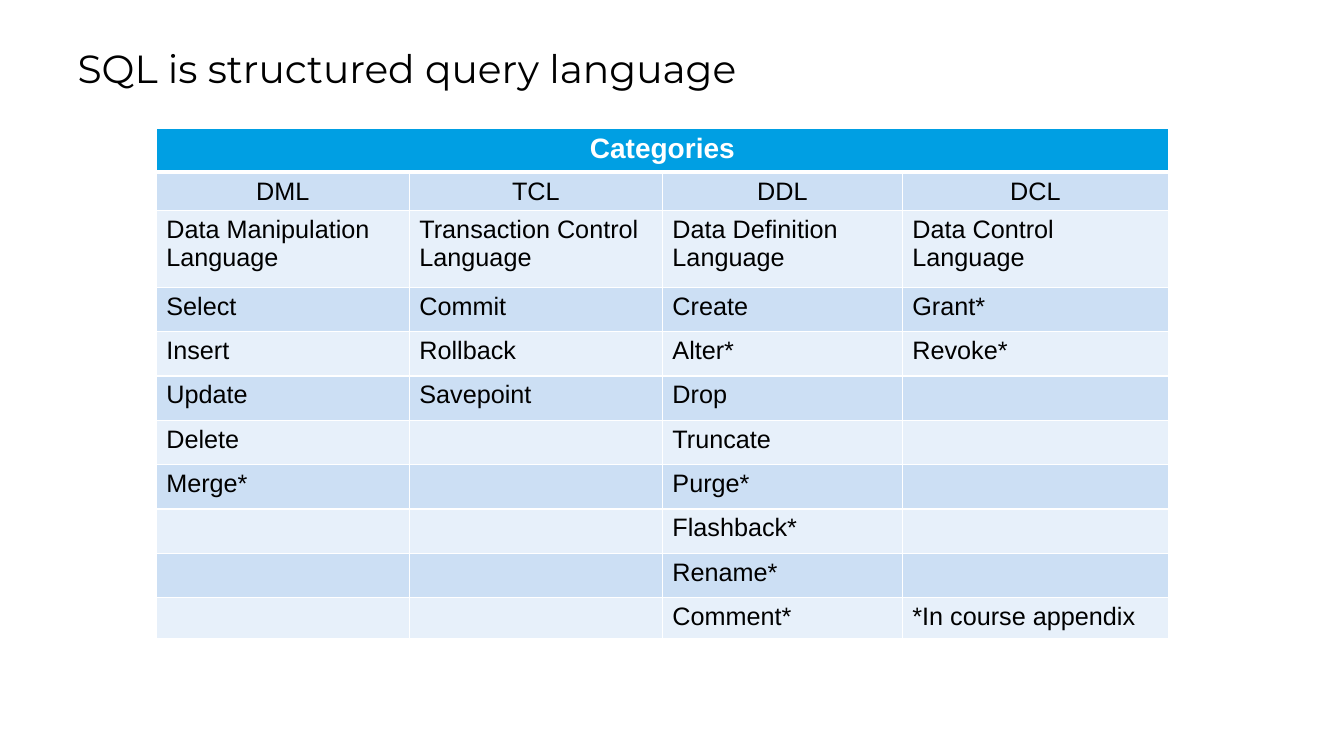
from dataclasses import dataclass
from itertools import zip_longest

from lxml import etree
from pptx import Presentation
from pptx.dml.color import RGBColor
from pptx.enum.text import MSO_ANCHOR, PP_ALIGN
from pptx.oxml.ns import qn
from pptx.util import Inches, Pt

WHITE = RGBColor(0xFF, 0xFF, 0xFF)
BLACK = RGBColor(0, 0, 0)
HEADER_BLUE = RGBColor(0x00, 0x9F, 0xE3)
BANDS = (RGBColor(0xE7, 0xF0, 0xFA), RGBColor(0xCC, 0xDF, 0xF4))


@dataclass(frozen=True)
class Category:
    code: str
    name: str
    width: float
    commands: tuple[str, ...]


@dataclass(frozen=True)
class CellStyle:
    fill: RGBColor
    color: RGBColor = BLACK
    size: int = 18
    bold: bool = False
    align: PP_ALIGN = PP_ALIGN.LEFT
    bottom_border: float = 1


CATEGORIES = (
    Category("DML", "Data Manipulation Language", 2.51,
             ("Select", "Insert", "Update", "Delete", "Merge*")),
    Category("TCL", "Transaction Control Language", 2.51,
             ("Commit", "Rollback", "Savepoint")),
    Category("DDL", "Data Definition Language", 2.38,
             ("Create", "Alter*", "Drop", "Truncate", "Purge*",
              "Flashback*", "Rename*", "Comment*")),
    Category("DCL", "Data Control Language", 2.64, ("Grant*", "Revoke*")),
)
FOOTNOTE = "*In course appendix"
HEADER_STYLE = CellStyle(HEADER_BLUE, WHITE, 20, True, PP_ALIGN.CENTER, 3)


def set_borders(cell, bottom: float) -> None:
    """Draw white borders, which must precede the fill in the cell properties."""
    properties = cell._tc.get_or_add_tcPr()
    widths = {"a:lnL": 1, "a:lnR": 1, "a:lnT": 1, "a:lnB": bottom}
    for position, (tag, width) in enumerate(widths.items()):
        line = etree.Element(qn(tag), w=str(Pt(width)))
        fill = etree.SubElement(line, qn("a:solidFill"))
        etree.SubElement(fill, qn("a:srgbClr"), val=str(WHITE))
        properties.insert(position, line)


def fill_cell(cell, text: str, style: CellStyle) -> None:
    cell.fill.solid()
    cell.fill.fore_color.rgb = style.fill
    set_borders(cell, style.bottom_border)
    paragraph = cell.text_frame.paragraphs[0]
    paragraph.alignment = style.align
    if text:
        run = paragraph.add_run()
        run.text = text
        run.font.name = "Arial"
        run.font.size = Pt(style.size)
        run.font.bold = style.bold
        run.font.color.rgb = style.color


def add_title(slide, text: str) -> None:
    title = slide.shapes.title
    title.left, title.top = Inches(0.67), Inches(0.39)
    title.width, title.height = Inches(12.02), Inches(0.57)
    frame = title.text_frame
    frame.text = text
    frame.word_wrap = True
    frame.vertical_anchor = MSO_ANCHOR.MIDDLE
    paragraph = frame.paragraphs[0]
    paragraph.alignment = PP_ALIGN.LEFT
    font = paragraph.runs[0].font
    font.name, font.size, font.color.rgb = "Montserrat", Pt(28), BLACK


def add_categories_table(slide) -> None:
    # Category columns become rows, padded with empty cells
    command_rows = [list(row) for row in
                    zip_longest(*(c.commands for c in CATEGORIES), fillvalue="")]
    command_rows[-1][-1] = FOOTNOTE
    rows = [[c.code for c in CATEGORIES], [c.name for c in CATEGORIES], *command_rows]
    heights = [0.44, 0.38, 0.76] + [0.44] * (len(command_rows) - 1) + [0.38]

    table = slide.shapes.add_table(
        len(heights), len(CATEGORIES), Inches(1.55), Inches(1.27),
        Inches(sum(c.width for c in CATEGORIES)), Inches(sum(heights))).table
    for column, category in zip(table.columns, CATEGORIES):
        column.width = Inches(category.width)
    for row, height in zip(table.rows, heights):
        row.height = Inches(height)

    # Header across all columns
    for index in range(len(CATEGORIES)):
        fill_cell(table.cell(0, index), "" if index else "Categories", HEADER_STYLE)
    table.cell(0, 0).merge(table.cell(0, len(CATEGORIES) - 1))

    # Banded body with centred category codes
    for row_index, texts in enumerate(rows, start=1):
        align = PP_ALIGN.CENTER if row_index == 1 else PP_ALIGN.LEFT
        style = CellStyle(BANDS[row_index % 2], align=align)
        for column_index, text in enumerate(texts):
            fill_cell(table.cell(row_index, column_index), text, style)


presentation = Presentation()
presentation.slide_width = Inches(13.33)
presentation.slide_height = Inches(7.5)
slide = presentation.slides.add_slide(presentation.slide_layouts[5])
add_title(slide, "SQL is structured query language")
add_categories_table(slide)
presentation.save("out.pptx")
